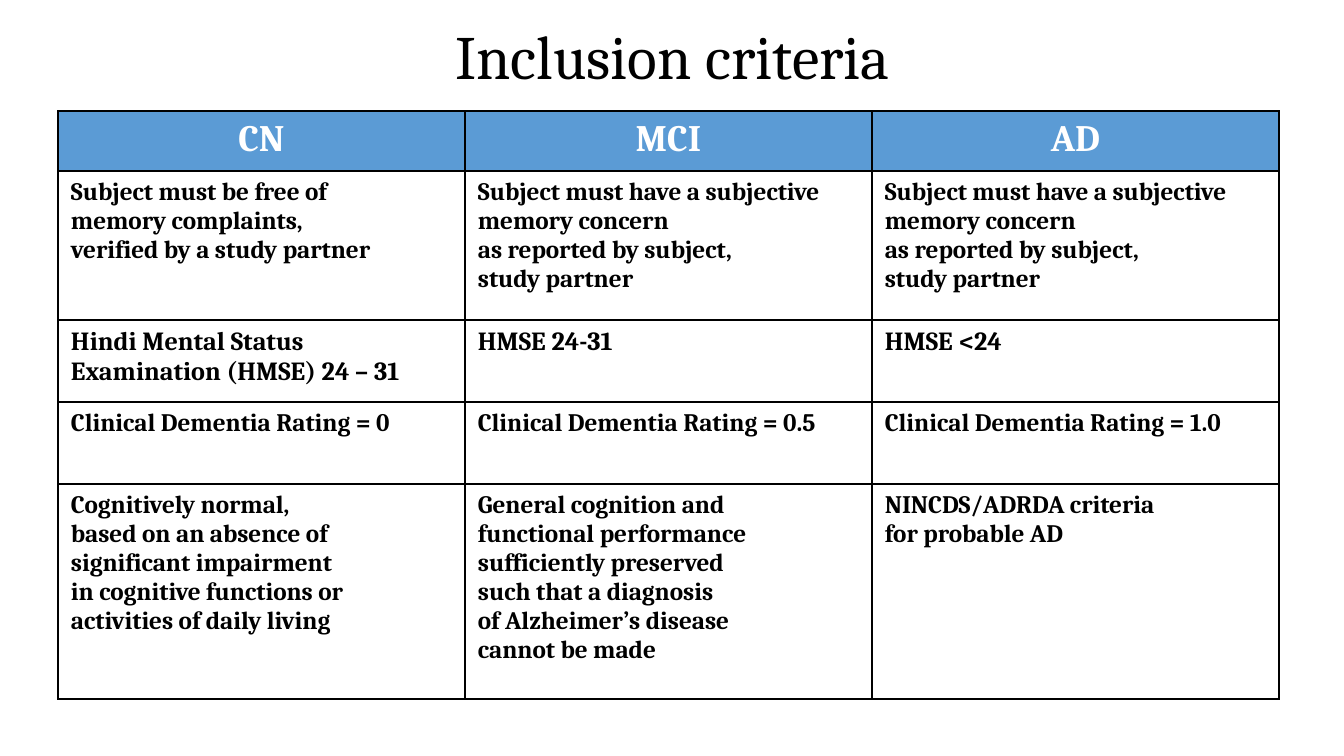
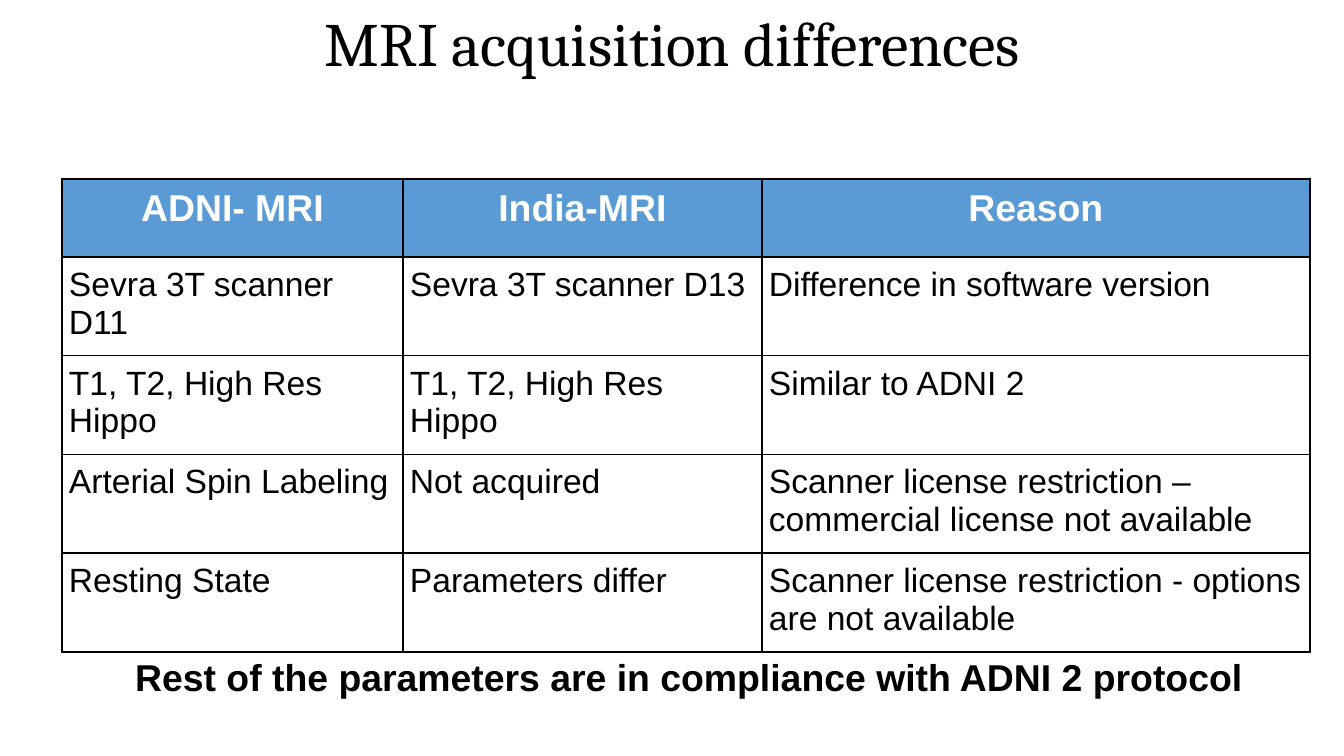
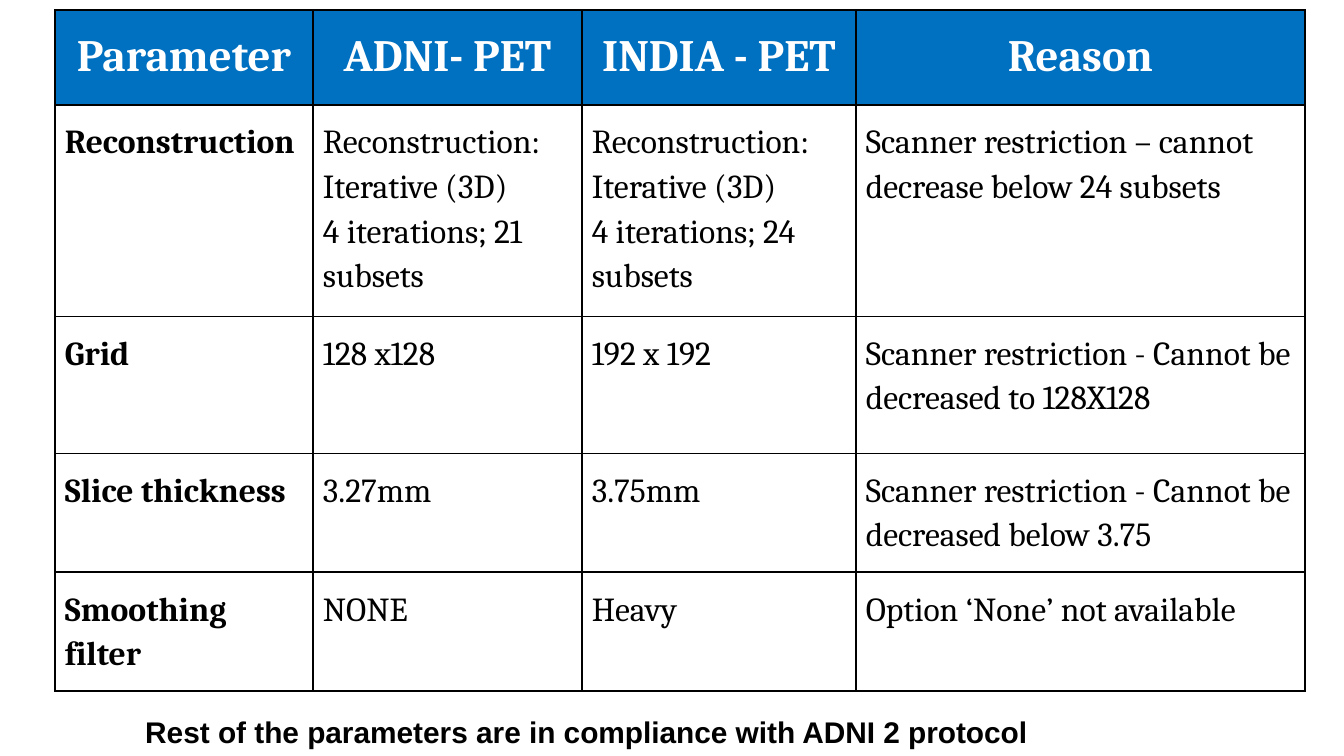
from lxml.etree import SubElement
from pptx import Presentation
from pptx.dml.color import RGBColor
from pptx.enum.text import MSO_ANCHOR, MSO_AUTO_SIZE, PP_ALIGN
from pptx.oxml.ns import qn
from pptx.util import Pt

PX = 9144000 / 1344
PAGE_SIZE = (1344, 756)
BLACK, WHITE = "000000", "FFFFFF"
SERIF, SANS = "Cambria", "Arial"
TITLE_HEIGHT = 93
COMPLIANCE = "Rest of the parameters are in compliance with ADNI 2 protocol"
CONCERN = """Subject must have a subjective
memory concern
as reported by subject,
study partner"""

SLIDES = [
    {
        "title": ("Inclusion criteria", 13),
        "table": {
            "left": 58, "top": 111,
            "columns": [407] * 3, "rows": [60, 149, 82, 82, 215],
            "insets": (13, 7), "spacing": None, "font": SERIF, "band": "5B9BD5",
            "sizes": [20, 13.5, 14, 13.5, 13.5], "bold_columns": {0, 1, 2},
            "cells": [
                ("CN", "MCI", "AD"),
                ("Subject must be free of\nmemory complaints,\nverified by a study partner",
                 CONCERN, CONCERN),
                ("Hindi Mental Status Examination (HMSE) 24 – 31", "HMSE 24-31", "HMSE <24"),
                ("Clinical Dementia Rating = 0", "Clinical Dementia Rating = 0.5",
                 "Clinical Dementia Rating = 1.0"),
                ("Cognitively normal,\nbased on an absence of\nsignificant impairment\n"
                 "in cognitive functions or\nactivities of daily living",
                 "General cognition and\nfunctional performance\nsufficiently preserved\n"
                 "such that a diagnosis\nof Alzheimer’s disease\ncannot be made",
                 "NINCDS/ADRDA criteria\nfor probable AD"),
            ],
        },
    },
    {
        "title": ("MRI acquisition differences", 0),
        "table": {
            "left": 62, "top": 179,
            "columns": [341, 359, 548], "rows": [78] + [93] * 4,
            "insets": (7, 9), "spacing": None, "font": SANS, "band": "5B9BD5",
            "sizes": [20] + [18] * 4, "bold_columns": set(),
            "cells": [
                ("ADNI- MRI", "India-MRI", "Reason"),
                ("Sevra 3T scanner D11", "Sevra 3T scanner D13",
                 "Difference in software version"),
                ("T1, T2, High Res Hippo", "T1, T2, High Res Hippo", "Similar to ADNI 2"),
                ("Arterial Spin Labeling", "Not acquired",
                 "Scanner license restriction – commercial license not available"),
                ("Resting State", "Parameters differ",
                 "Scanner license restriction - options are not available"),
            ],
        },
        "note": ((122, 648, 1146, 59), 20),
    },
    {
        "table": {
            "left": 55, "top": 10,
            "columns": [258, 269, 274, 449], "rows": [95, 205, 137, 116, 117],
            "insets": (10, 13), "spacing": 1.15, "font": SERIF, "band": "0070C0",
            "sizes": [24] + [18] * 4, "bold_columns": {0},
            "cells": [
                ("Parameter", "ADNI- PET", "INDIA - PET", "Reason"),
                ("Reconstruction", "Reconstruction: Iterative (3D)\n4 iterations; 21 subsets",
                 "Reconstruction: Iterative (3D)\n4 iterations; 24 subsets",
                 "Scanner restriction – cannot decrease below 24 subsets"),
                ("Grid", "128 x128", "192 x 192",
                 "Scanner restriction - Cannot be decreased to 128X128"),
                ("Slice thickness", "3.27mm", "3.75mm",
                 "Scanner restriction - Cannot be decreased below 3.75"),
                ("Smoothing filter", "NONE", "Heavy", "Option ‘None’ not available"),
            ],
        },
        "note": ((132, 707, 1020, 49), 16),
    },
]


def px(length):
    return round(length * PX)


def rgb(value):
    return RGBColor.from_string(value)


def set_all(target, values):
    for name, value in values.items():
        setattr(target, name, value)


def write(frame, text, font, size, color=BLACK, bold=False, align=PP_ALIGN.LEFT, spacing=None):
    """Fill a text frame, one paragraph for each line of the text."""
    frame.text = text
    for para in frame.paragraphs:
        set_all(para, {"alignment": align, "line_spacing": spacing})
        for span in para.runs:
            set_all(span.font, {"name": font, "size": Pt(size), "bold": bold})
            span.font.color.rgb = rgb(color)


def add_box(page, place, **frame_format):
    frame = page.shapes.add_textbox(*map(px, place)).text_frame
    set_all(frame, {"word_wrap": True, **frame_format})
    return frame


def add_title(page, text, top):
    frame = add_box(page, (93, top, 1159, TITLE_HEIGHT), vertical_anchor=MSO_ANCHOR.MIDDLE)
    write(frame, text, SERIF, 33, align=PP_ALIGN.CENTER, spacing=0.9)


def add_note(page, place, size):
    frame = add_box(page, place, auto_size=MSO_AUTO_SIZE.SHAPE_TO_FIT_TEXT)
    write(frame, COMPLIANCE, SANS, size, bold=True)


def add_borders(cell):
    properties = cell._tc.get_or_add_tcPr()
    for side in ("a:lnL", "a:lnR", "a:lnT", "a:lnB"):
        line = SubElement(properties, qn(side), w=str(Pt(1)))
        fill = SubElement(line, qn("a:solidFill"))
        SubElement(fill, qn("a:srgbClr"), val=BLACK)


def add_grid(page, grid):
    columns, rows = grid["columns"], grid["rows"]
    place = (grid["left"], grid["top"], sum(columns), sum(rows))
    table = page.shapes.add_table(len(rows), len(columns), *map(px, place)).table
    table.horz_banding = False
    for column, width in zip(table.columns, columns):
        column.width = px(width)
    for row, height in zip(table.rows, rows):
        row.height = px(height)

    side, end = map(px, grid["insets"])
    margins = {"margin_left": side, "margin_right": side,
               "margin_top": end, "margin_bottom": end}
    for r, texts in enumerate(grid["cells"]):
        header = r == 0
        for c, text in enumerate(texts):
            cell = table.cell(r, c)
            set_all(cell, margins)
            add_borders(cell)
            if header:
                cell.fill.solid()
                cell.fill.fore_color.rgb = rgb(grid["band"])
            else:
                cell.fill.background()
            write(cell.text_frame, text, grid["font"], grid["sizes"][r],
                  color=WHITE if header else BLACK,
                  bold=header or c in grid["bold_columns"],
                  align=PP_ALIGN.CENTER if header else PP_ALIGN.LEFT,
                  spacing=grid["spacing"])


def main():
    deck = Presentation()
    deck.slide_width, deck.slide_height = map(px, PAGE_SIZE)
    for content in SLIDES:
        page = deck.slides.add_slide(deck.slide_layouts[6])
        if "title" in content:
            add_title(page, *content["title"])
        add_grid(page, content["table"])
        if "note" in content:
            add_note(page, *content["note"])
    deck.save("out.pptx")


if __name__ == "__main__":
    main()
